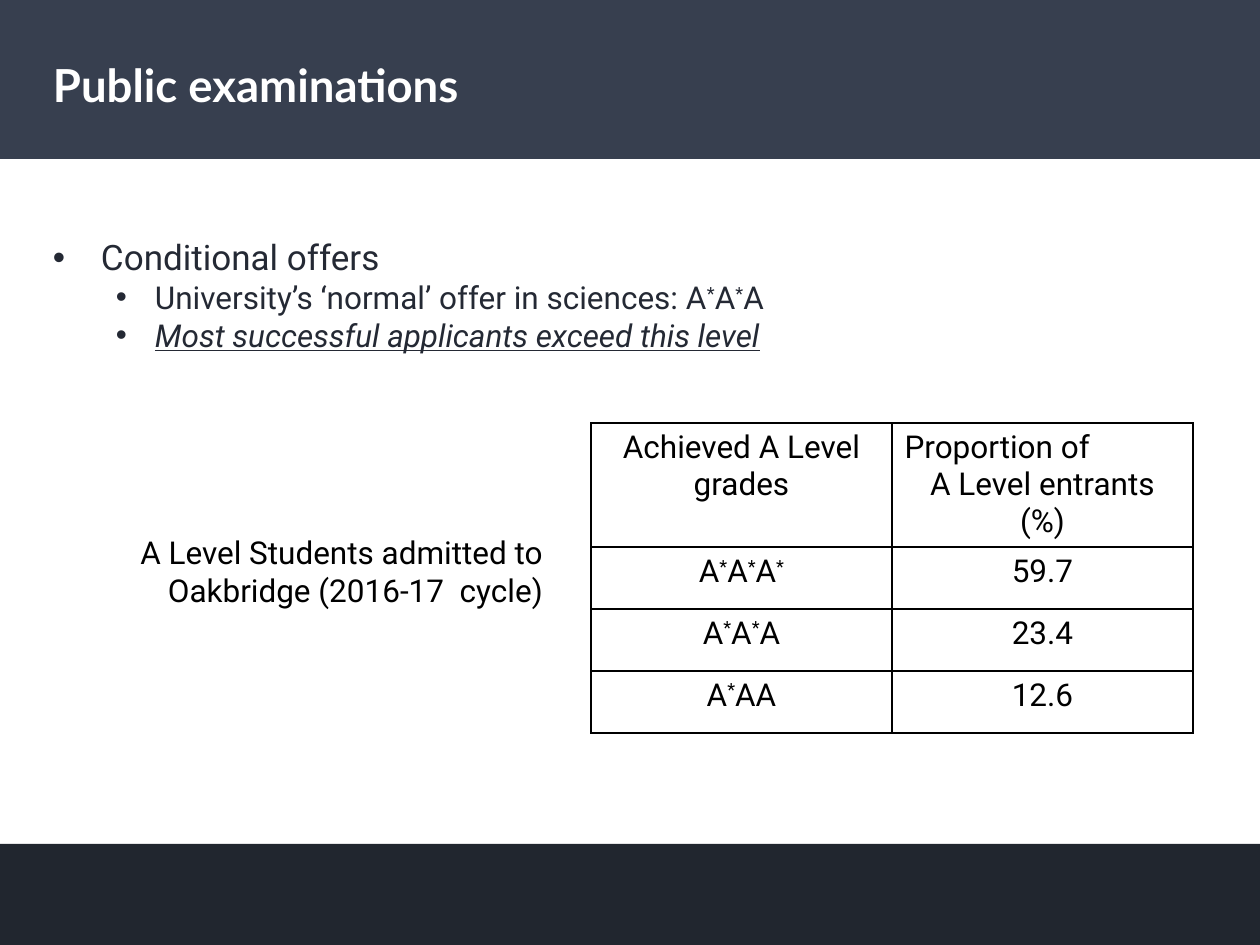
from itertools import product

from lxml.etree import SubElement
from pptx import Presentation
from pptx.dml.color import RGBColor
from pptx.enum.shapes import MSO_SHAPE as Shape
from pptx.enum.text import MSO_ANCHOR as Anchor, MSO_AUTO_SIZE as AutoSize, PP_ALIGN as Align
from pptx.oxml.ns import qn
from pptx.util import Pt

PX = 914400 / 126
HEADER = RGBColor(0x37, 0x3F, 0x4F)
FOOTER = RGBColor(0x21, 0x26, 0x2F)
INK = RGBColor(0x24, 0x29, 0x34)
BLACK = RGBColor(0, 0, 0)
WHITE = RGBColor(0xFF, 0xFF, 0xFF)

OFFERS = [
    ("Conditional offers", 0, 20, False),
    ("University’s ‘normal’ offer in sciences: A*A*A", 1, 18, False),
    ("Most successful applicants exceed this level", 1, 18, True),
]
BULLET_INDENTS = [(48, 48), (102, 39)]
GRADES = [
    ("Achieved A Level grades", "Proportion of\nA Level entrants (%)"),
    ("A*A*A*", "59.7"),
    ("A*A*A", "23.4"),
    ("A*AA", "12.6"),
]


def px(length):
    return round(length * PX)


def write(paragraph, text, size=18, font="Roboto", color=BLACK, align=Align.LEFT,
          bold=False, italic=False, underline=False):
    paragraph.alignment = align
    paragraph.space_before = Pt(0)
    for part in text.replace("*", "|*|").split("|"):
        if not part:
            continue
        run = paragraph.add_run()
        run.text = part
        style = run.font
        style.size, style.name, style.color.rgb = Pt(size), font, color
        style.bold, style.italic, style.underline = bold, italic, underline
        if part == "*":
            run._r.get_or_add_rPr().set("baseline", "30000")


def place(shape, box):
    shape.left, shape.top, shape.width, shape.height = map(px, box)


def prepare_frame(shape, margins=(0, 0), anchor=Anchor.TOP):
    frame = shape.text_frame
    frame.word_wrap = True
    frame.auto_size = AutoSize.NONE
    frame.vertical_anchor = anchor
    frame.margin_left = frame.margin_right = px(margins[0])
    frame.margin_top = frame.margin_bottom = px(margins[1])
    return frame


def add_band(slide, box, color):
    band = slide.shapes.add_shape(Shape.RECTANGLE, *map(px, box))
    band.shadow.inherit = False
    band.fill.solid()
    band.fill.fore_color.rgb = color
    band.line.fill.background()
    slide.shapes._spTree.insert(2, band._element)


def fill_title(slide, box):
    title = slide.shapes.title
    place(title, box)
    frame = prepare_frame(title, anchor=Anchor.MIDDLE)
    write(frame.paragraphs[0], "Public examinations", 26, "Lato", WHITE, bold=True)


def add_bullet(paragraph, left, hanging):
    properties = paragraph._p.get_or_add_pPr()
    properties.set("marL", str(px(left)))
    properties.set("indent", str(-px(hanging)))
    SubElement(properties, qn("a:buFont"), typeface="Arial")
    SubElement(properties, qn("a:buChar"), char="•")


def fill_offers(slide, box):
    body = slide.placeholders[1]
    place(body, box)
    frame = prepare_frame(body)
    for index, (text, level, size, stressed) in enumerate(OFFERS):
        paragraph = frame.add_paragraph() if index else frame.paragraphs[0]
        paragraph.level = level
        write(paragraph, text, size, color=INK, italic=stressed, underline=stressed)
        add_bullet(paragraph, *BULLET_INDENTS[level])


def add_caption(slide, box):
    caption = slide.shapes.add_textbox(*map(px, box))
    frame = prepare_frame(caption, (13, 6))
    write(frame.paragraphs[0], "A Level Students admitted to Oakbridge (2016-17  cycle)",
          align=Align.RIGHT)


def add_borders(cell):
    properties = cell._tc.get_or_add_tcPr()
    for position, side in enumerate(("a:lnL", "a:lnR", "a:lnT", "a:lnB")):
        border = SubElement(properties, qn(side), w=str(Pt(1)))
        fill = SubElement(border, qn("a:solidFill"))
        SubElement(fill, qn("a:srgbClr"), val=str(BLACK))
        properties.insert(position, border)


def add_grades(slide, box):
    rows, columns = len(GRADES), len(GRADES[0])
    table = slide.shapes.add_table(rows, columns, *map(px, box)).table
    table.first_row = table.horz_banding = False
    for index, row in enumerate(table.rows):
        row.height = px(62 if index else 124)
    for row, column in product(range(rows), range(columns)):
        cell = table.cell(row, column)
        cell.fill.background()
        lines = GRADES[row][column].split("\n")
        for index, line in enumerate(lines):
            paragraph = cell.text_frame.add_paragraph() if index else cell.text_frame.paragraphs[0]
            is_last = index == len(lines) - 1
            write(paragraph, line, align=Align.CENTER if is_last else Align.LEFT)
        add_borders(cell)


def main():
    deck = Presentation()
    deck.slide_width, deck.slide_height = px(1260), px(945)
    slide = deck.slides.add_slide(deck.slide_layouts[1])
    add_band(slide, (0, 844, 1260, 101), FOOTER)
    add_band(slide, (0, 0, 1260, 159), HEADER)
    fill_offers(slide, (53, 236, 1154, 561))
    fill_title(slide, (53, 55, 1154, 58))
    add_caption(slide, (94, 527, 462, 126))
    add_grades(slide, (591, 423, 602, 310))
    deck.save("out.pptx")


if __name__ == "__main__":
    main()
